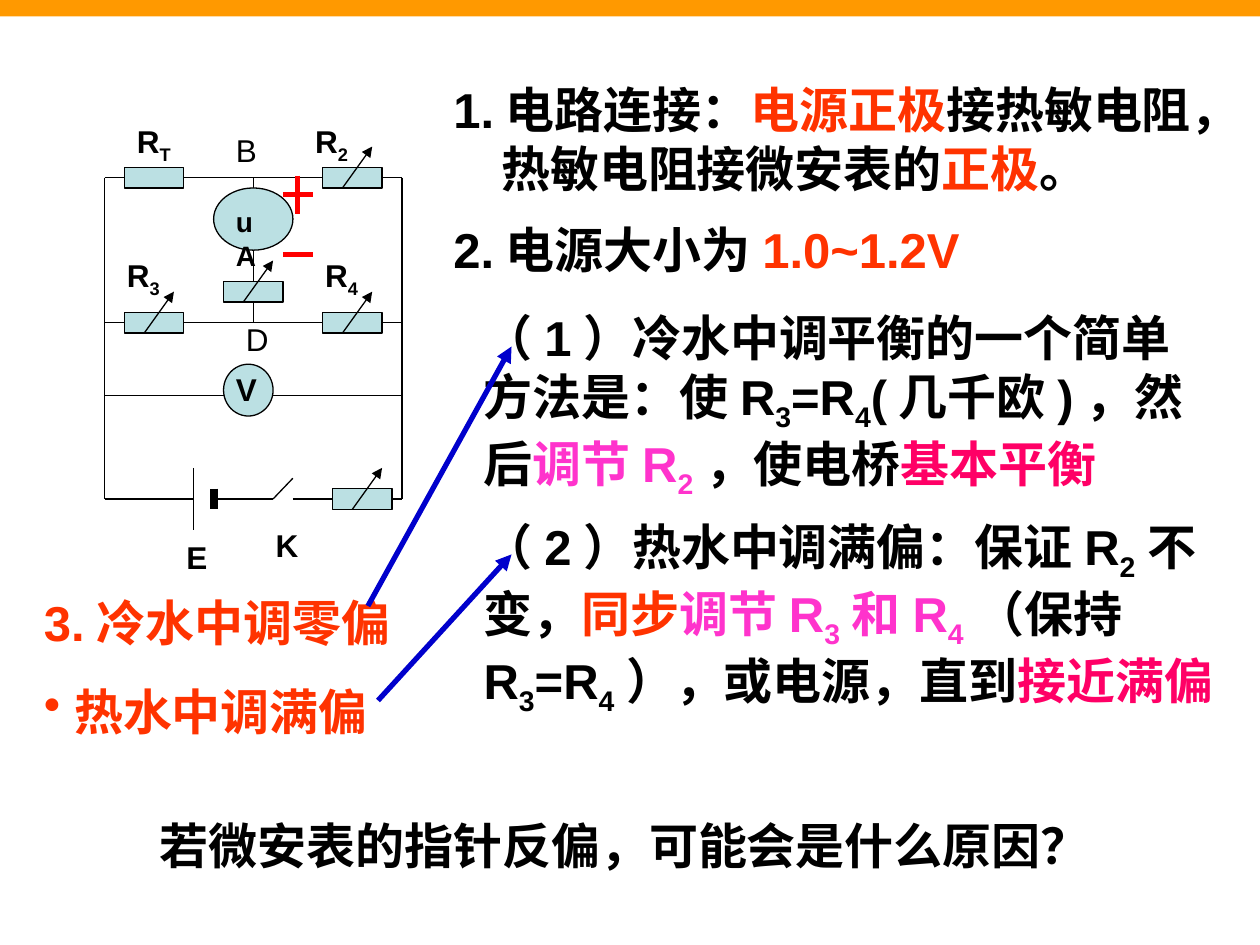
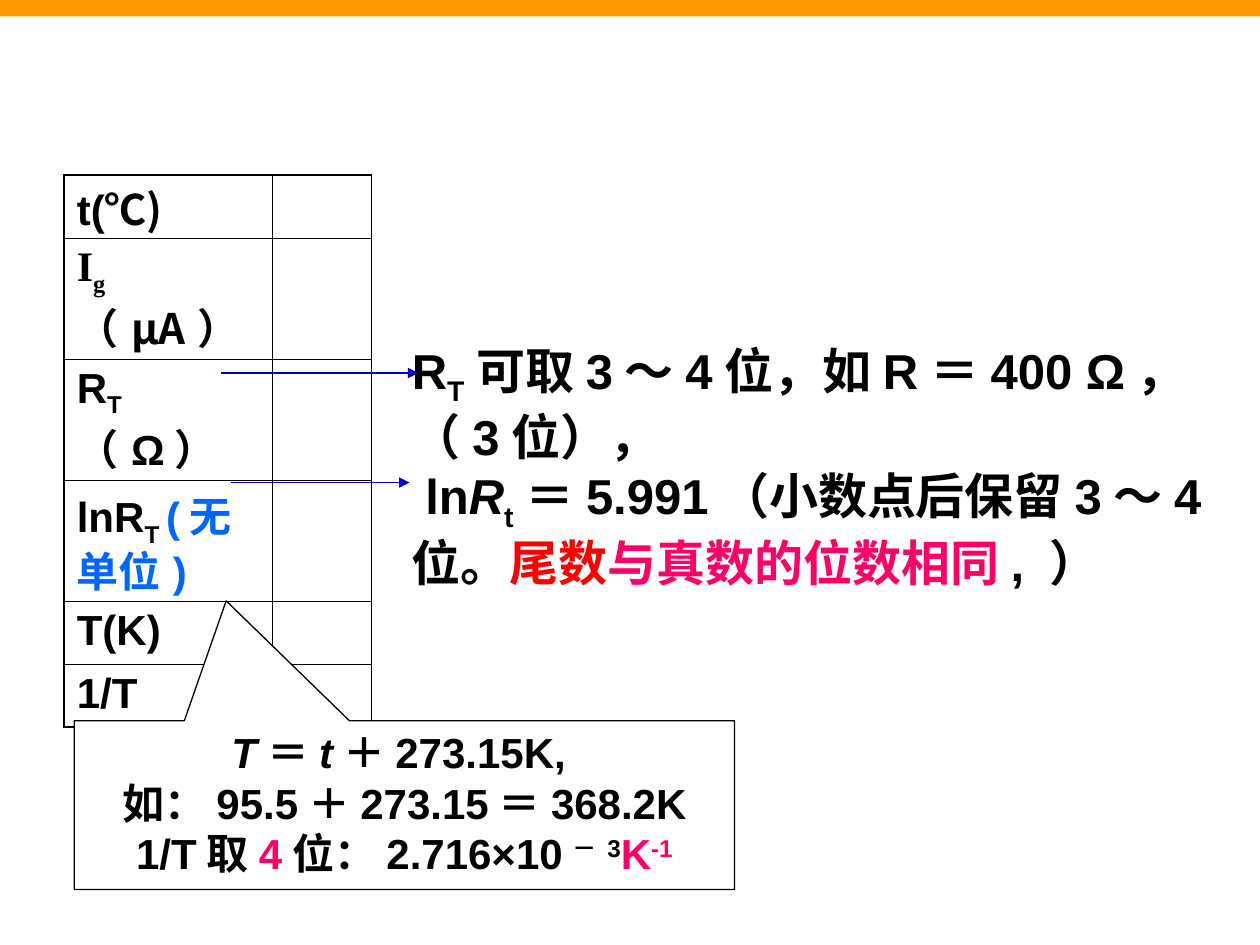
from dataclasses import dataclass
from typing import NamedTuple

from lxml import etree
from pptx import Presentation
from pptx import util as u
from pptx.dml.color import RGBColor
from pptx.enum import lang, shapes, text
from pptx.oxml import ns

# Shared look
BLACK = RGBColor(0x00, 0x00, 0x00)
WHITE = RGBColor(0xFF, 0xFF, 0xFF)
BAND = RGBColor(0xFF, 0x99, 0x00)
ORANGE = RGBColor(0xFF, 0x33, 0x00)
PINK = RGBColor(0xFF, 0x33, 0xCC)
ROSE = RGBColor(0xFF, 0x00, 0x66)
RED = RGBColor(0xFF, 0x00, 0x00)
SKY = RGBColor(0x00, 0x66, 0xFF)
NAVY = RGBColor(0x00, 0x00, 0xCC)
PALE = RGBColor(0xBB, 0xE0, 0xE3)
LATIN, HAN, SERIF = "Arial", "Noto Sans CJK SC", "Times New Roman"
THIN, THICK = 0.75, 3


@dataclass(frozen=True)
class Grid:
    """Origin and cell size in inches."""
    left: float
    top: float
    col: float
    row: float

    def point(self, x, y):
        return u.Inches(self.left + x * self.col), u.Inches(self.top + y * self.row)

    def size(self, w, h):
        return u.Inches(w * self.col), u.Inches(h * self.row)

    def box(self, x, y, w, h):
        return *self.point(x, y), *self.size(w, h)


PAGE = Grid(0, 0, 0.1, 0.075)  # hundredths of the slide
CIRCUIT = Grid(0.83, 1.41, 2.36 / 30, 2.55 / 31)


class Run(NamedTuple):
    """A stretch of text; parts between bars are subscripts."""
    text: str
    color: RGBColor = BLACK
    italic: bool = False
    font: str = LATIN
    base: int = 0


class Resistor(NamedTuple):
    name: str
    x: float
    y: float
    variable: bool = True


class Wire(NamedTuple):
    start: tuple
    end: tuple
    color: RGBColor = BLACK
    width: float = THIN
    begin: tuple = ()  # (resistor, side)
    finish: tuple = ()


class Label(NamedTuple):
    text: str
    x: float
    y: float
    w: float = 8
    size: float = 18
    bold: bool = True


# Text
def write(tf, paragraphs, *, size=28, bold=True, before=0.0, align=None, ea=LATIN,
          spacing=None, hang=None, bullets=()):
    """hang maps a paragraph's index to its hanging indent in inches."""
    tf.word_wrap = True
    for i, runs in enumerate(paragraphs):
        p = tf.paragraphs[0] if i == 0 else tf.add_paragraph()
        pPr = p._p.get_or_add_pPr()
        if hang and i in hang:
            pPr.set("marL", str(u.Inches(hang[i])))
            pPr.set("indent", str(-u.Inches(hang[i])))
        if i in bullets:
            etree.SubElement(pPr, ns.qn("a:buChar"), char="•")
        if i:
            p.space_before = u.Pt(before)
        p.alignment, p.line_spacing = align, spacing
        for run in runs:
            for n, part in enumerate(run.text.split("|")):
                if not part:
                    continue
                r = p.add_run()
                r.text = part
                f = r.font
                f.size, f.bold, f.italic, f.name = u.Pt(size), bold, run.italic, run.font
                f.color.rgb = run.color
                f.language_id = lang.MSO_LANGUAGE_ID.SIMPLIFIED_CHINESE
                base = -25 if n % 2 else run.base
                rPr = r._r.get_or_add_rPr()
                if base:
                    rPr.set("baseline", str(base * 1000))
                latin = rPr.find(ns.qn("a:latin"))
                latin.addnext(etree.Element(ns.qn("a:ea"), typeface=ea))


def add_text(slide, grid: Grid, box: tuple, paragraphs, **fmt):
    sp = slide.shapes.add_textbox(*grid.box(*box))
    write(sp.text_frame, paragraphs, **fmt)


# Shapes and lines
def add_shape(slide, grid: Grid, kind, box: tuple, fill: RGBColor, line=BLACK):
    sp = slide.shapes.add_shape(kind, *grid.box(*box))
    sp.shadow.inherit = False
    sp.fill.solid()
    sp.fill.fore_color.rgb = fill
    if line is None:
        sp.line.fill.background()
    else:
        sp.line.color.rgb = line
        sp.line.width = u.Pt(THIN)
    return sp


def add_line(slide, grid: Grid, start: tuple, end: tuple, color=BLACK, width=THIN, arrow=False):
    cx = slide.shapes.add_connector(shapes.MSO_CONNECTOR.STRAIGHT,
                                    *grid.point(*start), *grid.point(*end))
    cx.line.color.rgb = color
    cx.line.width = u.Pt(width)
    if arrow:
        etree.SubElement(cx.line._get_or_add_ln(), ns.qn("a:tailEnd"), type="triangle")
    etree.SubElement(cx._element.spPr, ns.qn("a:effectLst"))
    return cx


def new_slide(prs):
    s = prs.slides.add_slide(prs.slide_layouts[6])
    add_shape(s, PAGE, shapes.MSO_SHAPE.RECTANGLE, (0, 0, 100, 1.73), BAND, None)
    return s


# Circuit diagram
BACK_WIRES = [
    Wire((15, 0), (15, 14)),
    Wire((0, 0), (0, 14)), Wire((0, 14), (0, 31)),
    Wire((30, 0), (30, 14)), Wire((30, 14), (30, 31)),
    Wire((0, 21), (30, 21)),
    Wire((0, 31), (9, 31)), Wire((11, 31), (17, 31)),
    Wire((17, 31), (19, 29)), Wire((19, 31), (30, 31)),
    Wire((9, 28), (9, 34)), Wire((11, 30), (11, 32), width=4.5),
]
RESISTORS = [
    Resistor("RT", 2, -1, False), Resistor("R2", 22, -1),
    Resistor("R3", 2, 13), Resistor("R4", 22, 13),
    Resistor("meter", 12, 10), Resistor("supply", 23, 30),
]
BRANCHES = [("RT", "R2", 0), ("R3", "R4", 14)]
BRANCH_WIRES = [
    w for a, b, y in BRANCHES for w in (
        Wire((0, y), (2, y), finish=(a, 1)),
        Wire((8, y), (22, y), begin=(a, 3), finish=(b, 1)),
        Wire((28, y), (30, y), begin=(b, 3)))
]
POLARITY = [
    Wire((18, 7.4), (21, 7.4), RED, THICK),
    Wire((18, 1.6), (21, 1.6), RED, THICK),
    Wire((19.5, -0.2), (19.5, 3.5), RED, THICK),
]
METERS = [(11, 1, 8, 6), (12, 18, 5, 5)]
LABELS = [
    Label("R|T|", 2, -6), Label("R|2|", 20, -6),
    Label("R|3|", 1, 7), Label("R|4|", 21, 7),
    Label("uA", 12, 2, 6, 16), Label("V", 12, 18, 3),
    Label("E", 7, 34.2, 4), Label("K", 16, 33, 5),
    Label("B", 12, -5.1, 6, bold=False), Label("D", 13, 13.1, 6, bold=False),
]


def draw_circuit(slide):
    parts = {}

    def draw_wires(wires):
        for w in wires:
            cx = add_line(slide, CIRCUIT, w.start, w.end, w.color, w.width)
            if w.begin:
                cx.begin_connect(parts[w.begin[0]], w.begin[1])
            if w.finish:
                cx.end_connect(parts[w.finish[0]], w.finish[1])

    draw_wires(BACK_WIRES)
    for name, x, y, variable in RESISTORS:
        parts[name] = add_shape(slide, CIRCUIT, shapes.MSO_SHAPE.RECTANGLE, (x, y, 6, 2), PALE)
        if variable:
            add_line(slide, CIRCUIT, (x + 2, y + 2), (x + 5, y - 2), arrow=True)
    for box in METERS:
        add_shape(slide, CIRCUIT, shapes.MSO_SHAPE.OVAL, box, PALE)
    draw_wires(BRANCH_WIRES + POLARITY)
    for lb in LABELS:
        add_text(slide, CIRCUIT, (lb.x, lb.y, lb.w, 5), [[Run(lb.text)]],
                 size=lb.size, bold=lb.bold)


def circuit_slide(prs):
    s = new_slide(prs)
    # Steps
    add_text(s, PAGE, (35, 7.73, 65, 15.73), [[
        Run("1.电路连接："), Run("电源正极", ORANGE),
        Run("接热敏电阻，热敏电阻接微安表的"), Run("正极", ORANGE), Run("。")]], hang={0: 0.38})
    add_text(s, PAGE, (2.5, 62, 32.5, 17.07),
             [[Run("3.冷水中调零偏", ORANGE)], [Run("热水中调满偏", ORANGE)]],
             before=17.5, hang={1: 0.24}, bullets=(1,))
    add_text(s, PAGE, (35, 22.53, 52, 7.6),
             [[Run("2.电源大小为"), Run("1.0~1.2V", ORANGE)]])
    add_text(s, PAGE, (37.4, 31.87, 59.1, 21.73), [[
        Run("（1）冷水中调平衡的一个简单方法是：使R|3|=R|4|(几千欧)，然后"),
        Run("调节R|2|", PINK), Run("，使电桥"), Run("基本平衡", ROSE)]])
    add_text(s, PAGE, (37.4, 54, 60.6, 22.67), [[
        Run("（2）热水中调满偏：保证R|2|不变，"), Run("同步", ORANGE),
        Run("调节R|3|和R|4|", PINK), Run("（保持R|3|=R|4|），或电源，直到"),
        Run("接近满偏", ROSE)]])
    # Links from step 3 to its details
    for start, end in [((29.2, 64.13), (40.6, 36.67)), ((30, 74.13), (40.6, 58.67))]:
        add_line(s, PAGE, start, end, NAVY, THICK, arrow=True)
    draw_circuit(s)
    add_text(s, PAGE, (11.7, 85.6, 80.8, 7.6), [[Run("若微安表的指针反偏，可能会是什么原因？")]])


# Data table: row height, line spacing, runs
COLS = [16.5, 7.9]
QUANTITIES = [
    (6.67, 0.9, [Run("t("), Run("℃)", font=HAN)]),
    (12.8, 0.98, [Run("I|g|（", font=SERIF), Run("μA）", font=HAN)]),
    (12.8, 0.98, [Run("R|T|（Ω）")]),
    (12.8, 0.9, [Run("lnR|T |"), Run("(无单位)", SKY)]),
    (6.67, 1.0, [Run("T(K)")]),
    (6.67, 1.0, [Run("1/T")]),
]


def set_borders(cell, outer: dict):
    tcPr = cell._tc.get_or_add_tcPr()
    for side, is_outer in outer.items():
        width = u.Pt(1.08 if is_outer else 0.45)
        ln = etree.SubElement(tcPr, ns.qn(f"a:ln{side}"), w=str(width))
        fill = etree.SubElement(ln, ns.qn("a:solidFill"))
        etree.SubElement(fill, ns.qn("a:srgbClr"), val=str(BLACK))


def draw_table(slide):
    box = PAGE.box(5.1, 18.53, sum(COLS), sum(q[0] for q in QUANTITIES))
    tbl = slide.shapes.add_table(len(QUANTITIES), len(COLS), *box).table
    tbl.first_row = tbl.horz_banding = False
    for j, w in enumerate(COLS):
        tbl.columns[j].width = PAGE.size(w, 0)[0]
    for i, (h, spacing, runs) in enumerate(QUANTITIES):
        tbl.rows[i].height = PAGE.size(0, h)[1]
        write(tbl.cell(i, 0).text_frame, [runs], size=24, ea=HAN, spacing=spacing)
        for j in range(len(COLS)):
            cell = tbl.cell(i, j)
            cell.margin_bottom = 0
            set_borders(cell, {"L": j == 0, "R": j == len(COLS) - 1,
                               "T": i == 0, "B": i == len(QUANTITIES) - 1})
            cell.fill.background()


def table_slide(prs):
    s = new_slide(prs)
    draw_table(s)
    # Callout on temperature
    sp = add_shape(s, PAGE, shapes.MSO_SHAPE.RECTANGULAR_CALLOUT, (5.9, 76.27, 52.4, 17.87), WHITE)
    sp.adjustments[0], sp.adjustments[1] = -0.27, -1.21
    sp.text_frame.vertical_anchor = text.MSO_ANCHOR.TOP
    write(sp.text_frame, [
        [Run("T", italic=True), Run("＝"), Run("t", italic=True), Run("＋273.15K, ")],
        [Run("如：95.5＋273.15＝368.2K")],
        [Run("1/T取"), Run("4", ROSE), Run("位：2.716×10"), Run("－3", base=30),
         Run("K", ROSE), Run("-1", ROSE, base=30)],
    ], size=24, align=text.PP_ALIGN.CENTER)
    # Significant digits
    add_text(s, PAGE, (31.7, 35.33, 68.3, 28), [
        [Run("R|T|可取3～4位，如R＝400 Ω，（3位），")],
        [Run(" ln"), Run("R", italic=True), Run("|t|＝5.991（小数点后保留3～4位。"),
         Run("尾数", RED), Run("与真数的位数相同", ROSE), Run(", ）")],
    ])
    for x1, x2, y in [(17.5, 33.2, 39.47), (18.3, 32.5, 51.07)]:
        add_line(s, PAGE, (x1, y), (x2, y), NAVY, arrow=True)


def main():
    prs = Presentation()
    prs.slide_width, prs.slide_height = PAGE.size(100, 100)
    circuit_slide(prs)
    table_slide(prs)
    prs.save("out.pptx")


if __name__ == "__main__":
    main()
